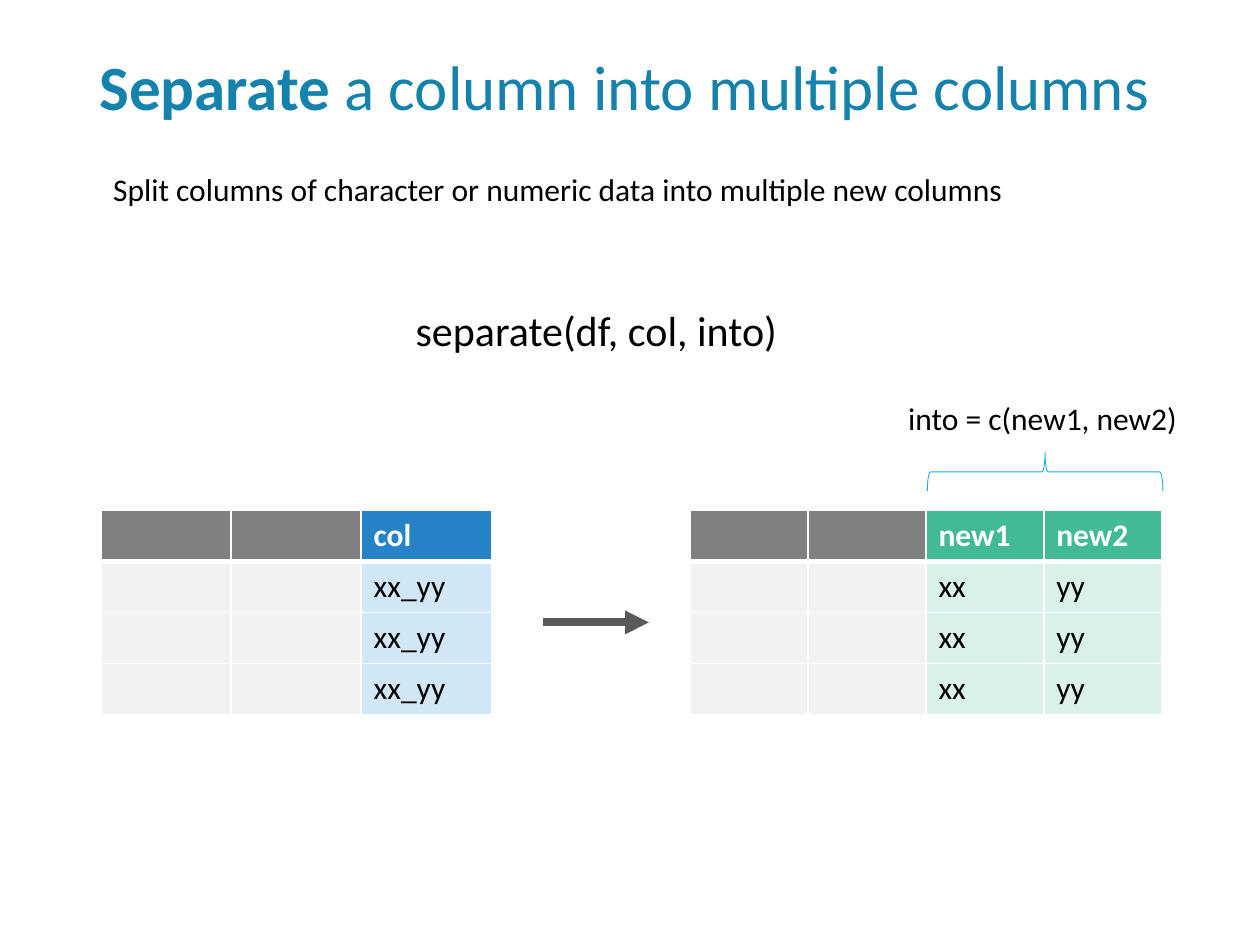
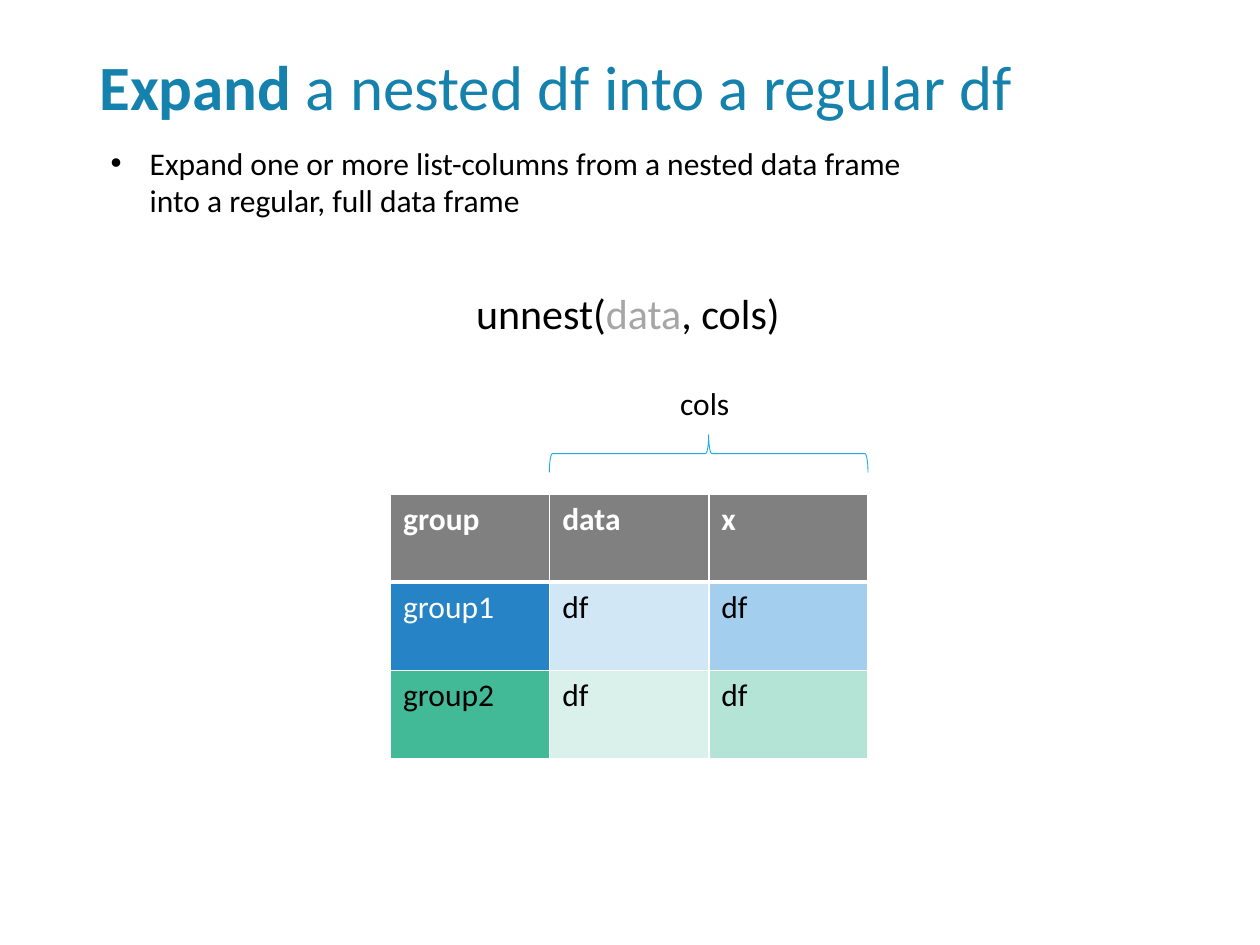
from lxml import etree
from pptx import Presentation
from pptx import util as u
from pptx.dml.color import RGBColor
from pptx.enum import shapes, text
from pptx.oxml import ns

Inches, Pt = u.Inches, u.Pt

# Shared colours
WHITE = RGBColor(0xFF, 0xFF, 0xFF)
BLACK = RGBColor(0x00, 0x00, 0x00)
TITLE_BLUE = RGBColor(0x14, 0x82, 0xAC)
BRACE_BLUE = RGBColor(0x1C, 0xAD, 0xE4)
HEADER_GREY = RGBColor(0x80, 0x80, 0x80)
CELL_GREY = RGBColor(0xF2, 0xF2, 0xF2)
OPTIONAL_GREY = RGBColor(0xA6, 0xA6, 0xA6)
ARROW_GREY = RGBColor(0x59, 0x59, 0x59)
BLUE = RGBColor(0x26, 0x83, 0xC6)
MID_BLUE = RGBColor(0xA3, 0xCE, 0xED)
PALE_BLUE = RGBColor(0xD1, 0xE7, 0xF6)
GREEN = RGBColor(0x42, 0xBA, 0x97)
MID_GREEN = RGBColor(0xB3, 0xE4, 0xD6)
PALE_GREEN = RGBColor(0xD9, 0xF1, 0xEA)

# Shared text formats
TITLE = {"name": "Calibri", "size": Pt(36), "bold": False}
BODY = {"name": "Calibri", "size": Pt(18), "bold": False}
CODE = {"name": "Calibri", "size": Pt(24), "bold": False}


def add_run(paragraph, words, style, color=BLACK, **changes):
    run = paragraph.add_run()
    run.text = words
    for key, value in {**style, **changes}.items():
        setattr(run.font, key, value)
    run.font.color.rgb = color


def add_text(slide, left, top, width, height, wrap=False):
    """Add a text box and return its first paragraph."""
    box = slide.shapes.add_textbox(*map(Inches, (left, top, width, height)))
    box.text_frame.word_wrap = wrap
    box.text_frame.vertical_anchor = text.MSO_ANCHOR.TOP
    return box.text_frame.paragraphs[0]


def add_title(slide, verb, rest):
    title = add_text(slide, 0.69, 0.4, 8.62, 0.83, wrap=True)
    title.line_spacing = 0.9
    add_run(title, verb, TITLE, TITLE_BLUE, bold=True)
    add_run(title, rest, TITLE, TITLE_BLUE)


def add_bullet(paragraph, indent):
    properties = paragraph._p.get_or_add_pPr()
    properties.set("marL", str(Inches(indent)))
    properties.set("indent", str(-Inches(indent)))
    etree.SubElement(properties, ns.qn("a:buFont"), typeface="Arial")
    etree.SubElement(properties, ns.qn("a:buChar"), char="•")


def add_brace(slide, left, top, width, height):
    """Add a brace opening downwards over the given area."""
    middle_x, middle_y = left + width / 2, top + height / 2
    brace = slide.shapes.add_shape(
        shapes.MSO_SHAPE.RIGHT_BRACE,
        Inches(middle_x - height / 2), Inches(middle_y - width / 2),
        Inches(height), Inches(width))
    brace.rotation = 270
    brace.shadow.inherit = False
    brace.fill.background()
    brace.line.color.rgb = BRACE_BLUE
    brace.line.width = Pt(0.5)


def add_arrow(slide, start_x, end_x, y):
    arrow = slide.shapes.add_connector(
        shapes.MSO_CONNECTOR.STRAIGHT, *map(Inches, (start_x, y, end_x, y)))
    arrow.line.color.rgb = ARROW_GREY
    arrow.line.width = Pt(4.5)
    etree.SubElement(arrow.line._get_or_add_ln(), ns.qn("a:tailEnd"), type="triangle")
    etree.SubElement(arrow._element.spPr, ns.qn("a:effectLst"))


def set_borders(cell, row):
    """Draw white borders, thicker between the header and the body."""
    widths = {"L": 1, "R": 1, "T": 3 if row == 1 else 1, "B": 3 if row == 0 else 1}
    for side, width in widths.items():
        border = etree.SubElement(cell._tc.get_or_add_tcPr(), ns.qn(f"a:ln{side}"),
                                  w=str(Pt(width)))
        fill = etree.SubElement(border, ns.qn("a:solidFill"))
        etree.SubElement(fill, ns.qn("a:srgbClr"), val=str(WHITE))


def add_data_table(slide, left, top, width, height, rows):
    """Add a table from rows of (words, fill, text colour) cells."""
    table = slide.shapes.add_table(
        len(rows), len(rows[0]), *map(Inches, (left, top, width, height))).table
    table.horz_banding = False
    for r, row in enumerate(rows):
        for c, (words, fill, color) in enumerate(row):
            cell = table.cell(r, c)
            set_borders(cell, r)
            cell.fill.solid()
            cell.fill.fore_color.rgb = fill
            if words:
                add_run(cell.text_frame.paragraphs[0], words, BODY, color, bold=r == 0)


def highlighted_rows(names, values, strong, pale):
    """Two blank grey columns, then named columns, over three records."""
    header = [("", HEADER_GREY, WHITE)] * 2 + [(name, strong, WHITE) for name in names]
    record = [("", CELL_GREY, BLACK)] * 2 + [(value, pale, BLACK) for value in values]
    return [header] + [record] * 3


def build_separate(slide):
    add_title(slide, "Separate ", "a column into multiple columns")
    add_run(add_text(slide, 3.2, 2.37, 3.1, 0.5), "separate(df, col, into)", CODE)

    # Before and after
    add_data_table(slide, 0.8, 4.05, 3.1, 1.62,
                   highlighted_rows(["col"], ["xx_yy"], BLUE, PALE_BLUE))
    add_data_table(slide, 5.48, 4.05, 3.74, 1.62,
                   highlighted_rows(["new1", "new2"], ["xx", "yy"], GREEN, PALE_GREEN))
    add_arrow(slide, 4.31, 5.15, 4.94)

    # Explanations
    add_run(add_text(slide, 0.8, 1.3, 7.35, 0.4),
            "Split columns of character or numeric data into multiple new columns", BODY)
    add_brace(slide, 7.36, 3.59, 1.87, 0.31)
    add_run(add_text(slide, 7.11, 3.12, 2.36, 0.4), "into = c(new1, new2)", BODY)


def build_expand(slide):
    add_title(slide, "Expand", " a nested df into a regular df")
    summary = add_text(slide, 0.78, 1.09, 6.89, 0.71, wrap=True)
    add_bullet(summary, 0.31)
    add_run(summary, "Expand one or more list-columns from a nested data frame "
                     "into a regular, full data frame", BODY)

    # Function call with its piped argument in grey
    call = add_text(slide, 3.68, 2.23, 2.63, 0.5)
    add_run(call, "unnest(", CODE)
    add_run(call, "data", CODE, OPTIONAL_GREY)
    add_run(call, ", cols)", CODE)

    # Nested data frame
    add_brace(slide, 4.36, 3.45, 2.53, 0.3)
    add_run(add_text(slide, 5.3, 3, 0.6, 0.4), "cols", BODY)
    add_data_table(slide, 3.1, 3.92, 3.79, 2.1, [
        [(name, HEADER_GREY, WHITE) for name in ("group", "data", "x")],
        [("group1", BLUE, WHITE), ("df", PALE_BLUE, BLACK), ("df", MID_BLUE, BLACK)],
        [("group2", GREEN, BLACK), ("df", PALE_GREEN, BLACK), ("df", MID_GREEN, BLACK)],
    ])


def main():
    deck = Presentation()
    deck.slide_width, deck.slide_height = Inches(10), Inches(7.5)
    blank = deck.slide_layouts[6]
    for build in (build_separate, build_expand):
        build(deck.slides.add_slide(blank))
    deck.save("out.pptx")


if __name__ == "__main__":
    main()
